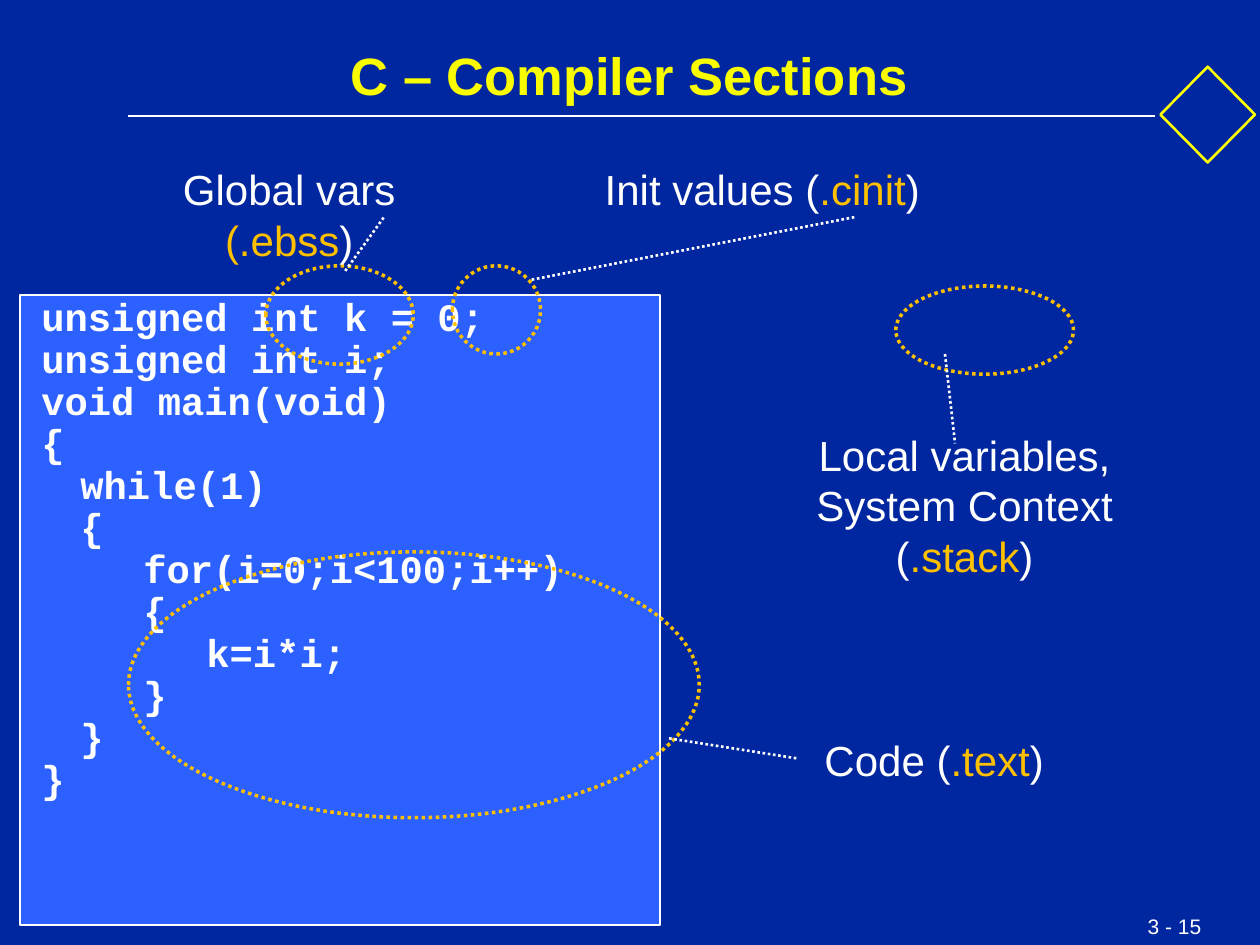
import pptx
import pptx.dml.color
import pptx.enum.dml
import pptx.enum.shapes
import pptx.enum.text
import pptx.oxml
import pptx.util

COLS, ROWS = 100, 75
CELL = pptx.util.Inches(0.1)
WHITE, YELLOW, AMBER = "FFFFFF", "FFFF00", "FFC000"
DOTS = pptx.enum.dml.MSO_LINE.ROUND_DOT
KIND = pptx.enum.shapes.MSO_SHAPE
ALIGN = pptx.enum.text.PP_ALIGN
Pt = pptx.util.Pt

CODE = """unsigned int k = 0;
unsigned int i;
void main(void)
{
\twhile(1)
\t{
\t\tfor(i=0;i<100;i++)
\t\t{
\t\t\tk=i*i;
\t\t}
\t}
}"""

# Box in cells, whether it wraps, then paragraphs of (text, colour) parts
LABELS = [
    ((8, 12.5, 29.9, 5), False,
     [[("Global vars ", WHITE), ("(.ebss", AMBER), (")", WHITE)]]),
    ((47, 12.5, 27, 5), False,
     [[("Init values (", WHITE), (".cinit", AMBER), (")", WHITE)]]),
    ((62.5, 57.8, 24.2, 5), True,
     [[("Code (", WHITE), (".text", AMBER), (") ", WHITE)]]),
    ((58.6, 33.6, 35.9, 13), True,
     [[("Local variables,", WHITE)],
      [("System Context (", WHITE), (".stack", AMBER), (")", WHITE)]]),
]
RINGS = [(21.1, 21.1, 11.7, 7.8), (35.9, 21.1, 7, 7),
         (10.2, 43.8, 45.3, 21.1), (71.1, 22.7, 14.1, 7)]
LEADS = [(27.4, 21.5, 30.5, 17.2), (42.2, 22.2, 68, 17.2),
         (53.1, 58.6, 63.3, 60.2), (75, 28.1, 75.8, 35.2)]


def cells(values):
    return [round(v * CELL) for v in values]


def rgb(code):
    return pptx.dml.color.RGBColor.from_string(code)


def style(para, size, color=WHITE, face="Arial", bold=False, lead=1.2):
    """Set the font, with a fixed line pitch of lead times the size."""
    para.line_spacing = Pt(round(size * lead, 1))
    font = para.font
    font.size, font.name, font.bold = Pt(size), face, bold
    font.color.rgb = rgb(color)


def pen(line, color, width, dash=None):
    line.color.rgb = rgb(color)
    line.width = Pt(width)
    if dash:
        line.dash_style = dash


def shape(slide, kind, box, color, width, fill=None, dash=None):
    item = slide.shapes.add_shape(kind, *cells(box))
    item.shadow.inherit = False
    if fill:
        item.fill.solid()
        item.fill.fore_color.rgb = rgb(fill)
    else:
        item.fill.background()
    pen(item.line, color, width, dash)


def rule(slide, ends, width, dash=None):
    straight = pptx.enum.shapes.MSO_CONNECTOR.STRAIGHT
    item = slide.shapes.add_connector(straight, *cells(ends))
    pen(item.line, WHITE, width, dash)
    props = item._element.spPr
    props.append(props.makeelement(pptx.oxml.ns.qn("a:effectLst"), {}))


def text(slide, box, wrap=True):
    frame = slide.shapes.add_textbox(*cells(box)).text_frame
    frame.word_wrap = wrap
    return frame


def title(slide, box, words):
    item = slide.shapes.title
    item.left, item.top, item.width, item.height = cells(box)
    frame = item.text_frame
    frame.text = words
    frame.vertical_anchor = pptx.enum.text.MSO_ANCHOR.TOP
    frame.margin_left = frame.margin_right = frame.margin_bottom = 0
    frame.margin_top = pptx.util.Inches(0.03)
    para = frame.paragraphs[0]
    para.alignment = ALIGN.CENTER
    style(para, 30, "FAFD00", bold=True)


def label(slide, box, wrap, paras):
    frame = text(slide, box, wrap)
    for i, parts in enumerate(paras):
        para = frame.add_paragraph() if i else frame.paragraphs[0]
        para.alignment = ALIGN.CENTER
        style(para, 24)
        for words, color in parts:
            run = para.add_run()
            run.text = words
            run.font.color.rgb = rgb(color)


def tabs(para, indent):
    """Hang the paragraph and put a tab stop at every inch."""
    props = para._p.get_or_add_pPr()
    step = pptx.util.Inches(indent)
    props.set("marL", str(step))
    props.set("indent", str(-step))
    stops = props.makeelement(pptx.oxml.ns.qn("a:tabLst"), {})
    for inch in range(8):
        spot = str(pptx.util.Inches(inch))
        stops.append(stops.makeelement(
            pptx.oxml.ns.qn("a:tab"), {"pos": spot, "algn": "l"}))
    props.append(stops)


def code(slide, box, lines):
    frame = text(slide, box)
    frame.margin_top = pptx.util.Inches(0.09)
    for i, words in enumerate(lines):
        para = frame.add_paragraph() if i else frame.paragraphs[0]
        tabs(para, 0.31)
        para.add_run().text = words
        style(para, 22.2, face="Courier New", bold=True, lead=1.08)


def main():
    deck = pptx.Presentation()
    deck.slide_width, deck.slide_height = COLS * CELL, ROWS * CELL
    slide = deck.slides.add_slide(deck.slide_layouts[5])
    back = slide.background.fill
    back.solid()
    back.fore_color.rgb = rgb("00279F")

    title(slide, (2.3, 3.1, 95.3, 7.3), "C – Compiler Sections")
    rule(slide, (10.2, 9.2, 91.7, 9.2), 1)
    shape(slide, KIND.DIAMOND, (92.1, 5.3, 7.5, 7.6), YELLOW, 1.5)

    shape(slide, KIND.RECTANGLE, (1.6, 23.4, 50.8, 50), WHITE, 1, "2C60FF")
    code(slide, (2.3, 22.7, 95.3, 48.4), CODE.split("\n"))
    for ring in RINGS:
        shape(slide, KIND.OVAL, ring, AMBER, 2, dash=DOTS)
    for ends in LEADS:
        rule(slide, ends, 1.5, DOTS)
    for box, wrap, paras in LABELS:
        label(slide, box, wrap, paras)

    page = text(slide, (90.1, 72, 6.3, 3), False).paragraphs[0]
    page.text = "3 - 15"
    style(page, 12)
    deck.save("out.pptx")


if __name__ == "__main__":
    main()
